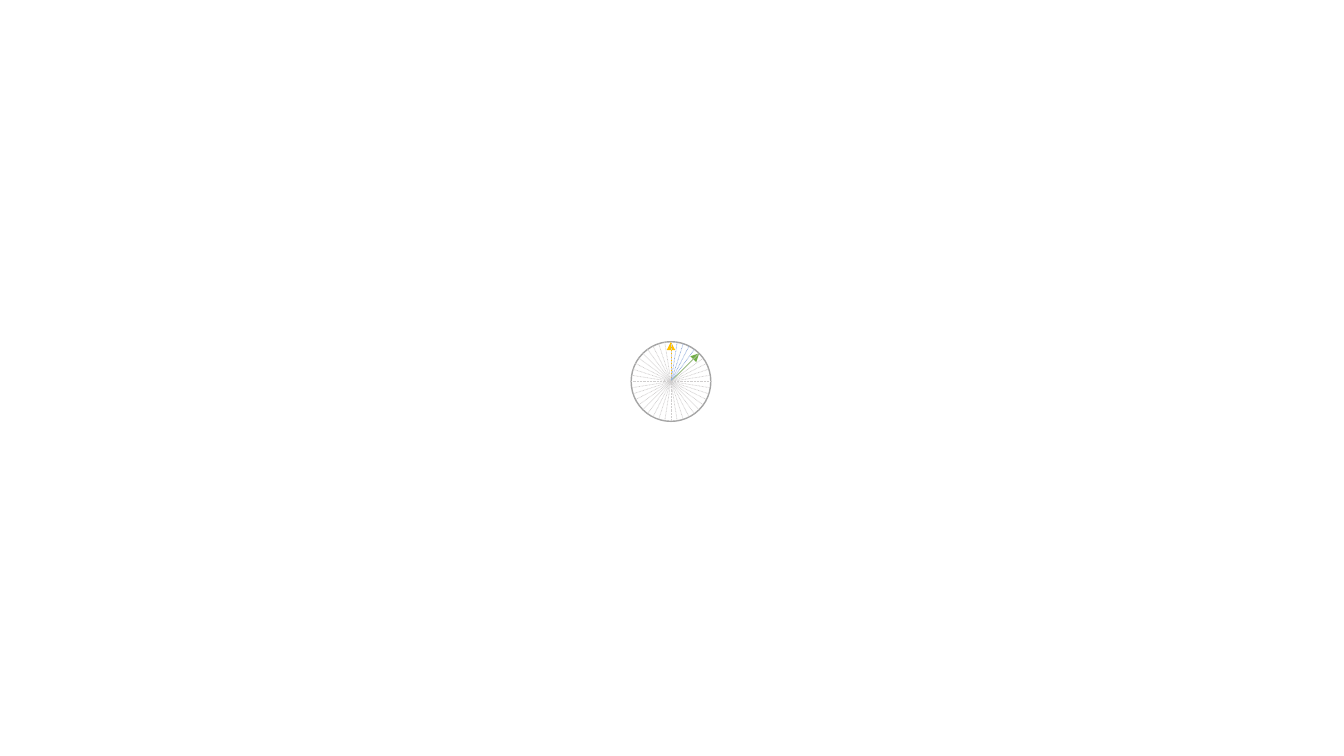
from dataclasses import dataclass
from math import cos, radians, sin

from lxml import etree
from pptx import Presentation
from pptx.dml.color import RGBColor
from pptx.enum.dml import MSO_LINE
from pptx.enum.shapes import MSO_CONNECTOR, MSO_SHAPE
from pptx.oxml.ns import qn
from pptx.util import Inches, Pt

ELLIPSE = MSO_SHAPE.OVAL
STRAIGHT = MSO_CONNECTOR.STRAIGHT
DOTTED = MSO_LINE.ROUND_DOT


@dataclass(frozen=True)
class Theme:
    face: RGBColor = RGBColor.from_string("FFFFFF")
    rim: RGBColor = RGBColor.from_string("A5A5A5")
    spoke: RGBColor = RGBColor.from_string("D0CECE")
    sector_spoke: RGBColor = RGBColor.from_string("8FAADC")
    start_arrow: RGBColor = RGBColor.from_string("FFC000")
    end_arrow: RGBColor = RGBColor.from_string("70AD47")
    rim_width: Pt = Pt(1)
    line_width: Pt = Pt(0.5)


THEME = Theme()

DIAL_LEFT, DIAL_TOP, DIAL_SIZE = 6.26, 3.39, 0.79
RADIUS = DIAL_SIZE / 2
CENTER = (DIAL_LEFT + RADIUS, DIAL_TOP + RADIUS)
SPOKE_STEP = 9
START_ANGLE, END_ANGLE = 0, 45


def rim_point(angle):
    """Point on the dial's rim, with the angle in degrees clockwise from the top."""
    return (CENTER[0] + RADIUS * sin(radians(angle)),
            CENTER[1] - RADIUS * cos(radians(angle)))


def add_dial_face(group):
    face = group.shapes.add_shape(ELLIPSE, Inches(DIAL_LEFT), Inches(DIAL_TOP),
                                  Inches(DIAL_SIZE), Inches(DIAL_SIZE))
    face.shadow.inherit = False
    face.fill.solid()
    face.fill.fore_color.rgb = THEME.face
    face.line.color.rgb = THEME.rim
    face.line.width = THEME.rim_width


def add_line(group, start, end, color):
    points = [Inches(value) for value in (*start, *end)]
    connector = group.shapes.add_connector(STRAIGHT, *points)
    connector.line.color.rgb = color
    connector.line.width = THEME.line_width
    etree.SubElement(connector._element.spPr, qn("a:effectLst"))
    return connector


def add_arrow(group, angle, color):
    arrow = add_line(group, CENTER, rim_point(angle), color)
    etree.SubElement(arrow.line._get_or_add_ln(), qn("a:tailEnd"), type="triangle")


def add_spoke(group, angle):
    """Dotted radius; those in the upper left quarter run from rim to centre."""
    ends = [CENTER, rim_point(angle)]
    if angle >= 270:
        ends.reverse()
    in_sector = START_ANGLE < angle < END_ANGLE
    color = THEME.sector_spoke if in_sector else THEME.spoke
    add_line(group, *ends, color).line.dash_style = DOTTED


def main():
    presentation = Presentation()
    presentation.slide_width = Inches(13.33)
    presentation.slide_height = Inches(7.5)
    slide = presentation.slides.add_slide(presentation.slide_layouts[6])

    dial = slide.shapes.add_group_shape()
    add_dial_face(dial)
    add_arrow(dial, START_ANGLE, THEME.start_arrow)
    add_arrow(dial, END_ANGLE, THEME.end_arrow)
    for angle in range(0, 360, SPOKE_STEP):
        add_spoke(dial, angle)

    presentation.save("out.pptx")


if __name__ == "__main__":
    main()
